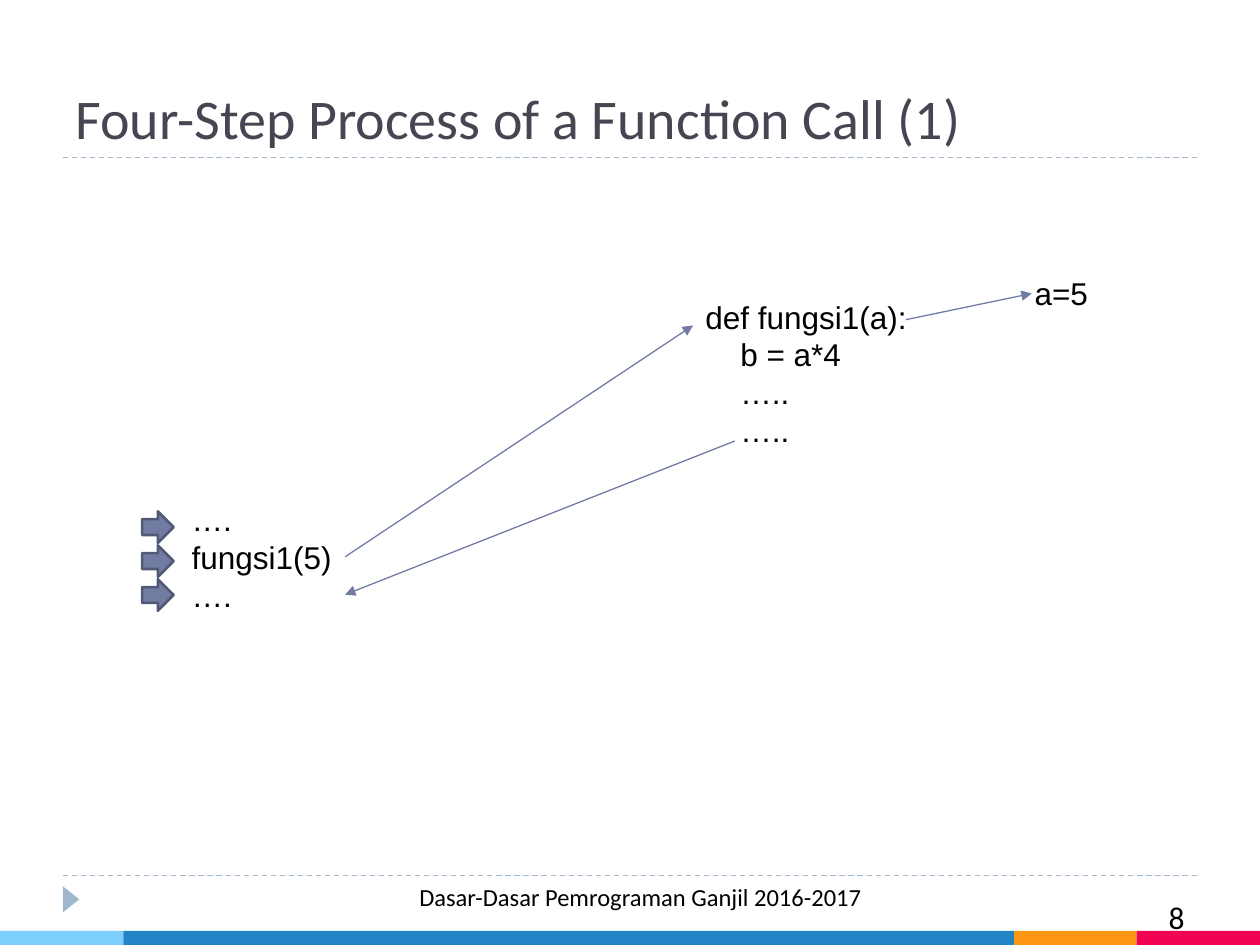
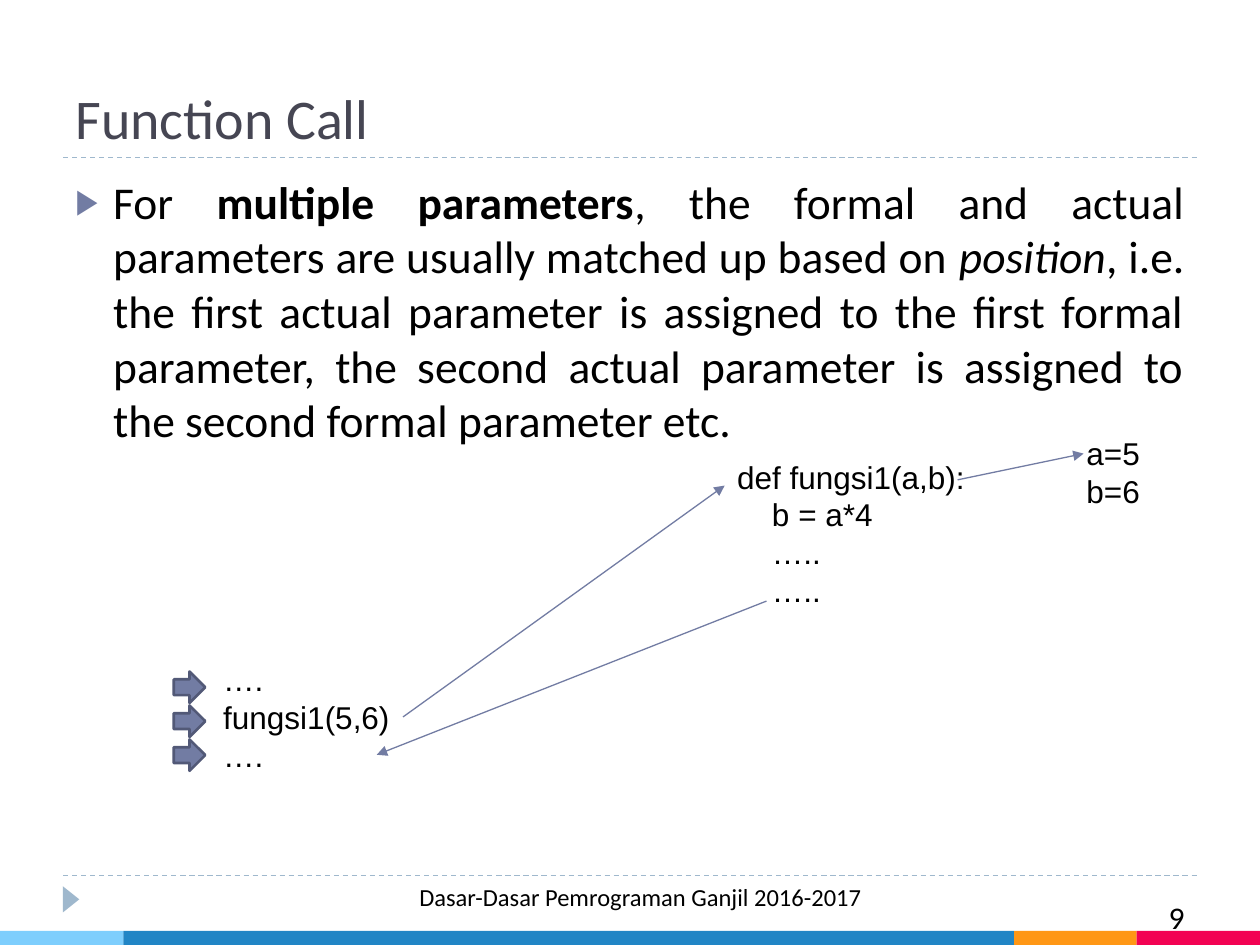
from lxml import etree
from pptx import Presentation
from pptx.dml.color import RGBColor
from pptx.enum.dml import MSO_LINE_DASH_STYLE as Dash
from pptx.enum.shapes import MSO_CONNECTOR as Link, MSO_SHAPE as Shape
from pptx.enum.text import MSO_ANCHOR as Anchor, PP_ALIGN as Align
from pptx.oxml.ns import qn
from pptx.util import Pt

HUES = {
    "text": "000000", "title": "464653", "rule": "9FB8CD",
    "arrow": "727CA3", "edge": "525977",
    "sky": "7ECEFD", "blue": "2185C5", "orange": "FF9715", "red": "F20253",
}
FOOTER = "Dasar-Dasar Pemrograman Ganjil 2016-2017"
BANDS = [("sky", 0, 70.5), ("blue", 70.5, 579.5),
         ("orange", 579.5, 649.5), ("red", 649.5, 720)]

# Diagram places are relative to the top left of the calling code.
SLIDES = [
    {
        "title": "Four-Step Process of a Function Call (1)",
        "number": 8,
        "origin": (102.4, 282.2),
        "call": ["….", "fungsi1(5)", "…."],
        "width": 94.8,
        "def": ["def fungsi1(a):", "    b = a*4", "    …..", "    ….."],
        "note": ["a=5"],
        "shift": 481.7,
    },
    {
        "title": "Function Call",
        "number": 9,
        "body": [
            ("For ", None), ("multiple parameters", "bold"),
            (", the formal and actual parameters are usually matched up "
             "based on ", None),
            ("position", "italic"),
            (", i.e. the first actual parameter is assigned to the first "
             "formal parameter, the second actual parameter is assigned to "
             "the second formal parameter etc.", None),
        ],
        "origin": (120.5, 373.7),
        "call": ["….", "fungsi1(5,6)", "…."],
        "width": 109.8,
        "def": ["def fungsi1(a,b):", "    b = a*4", "    …..", "    ….."],
        "note": ["a=5", "b=6"],
        "shift": 493.2,
    },
]


def hue(name):
    return RGBColor.from_string(HUES[name])


def style(font, size, face, color="text"):
    font.size, font.name = Pt(size), face
    font.color.rgb = hue(color)


def add_text(slide, place, lines, size, face="Calibri", color="text",
             align=Align.LEFT, wrap=True, anchor=Anchor.TOP):
    box = slide.shapes.add_textbox(*map(Pt, place))
    frame = box.text_frame
    frame.text = "\n".join(lines)
    frame.word_wrap, frame.vertical_anchor = wrap, anchor
    for para in frame.paragraphs:
        para.alignment = align
        for run in para.runs:
            style(run.font, size, face, color)
    return box


def add_code(slide, place, lines, wrap=True):
    return add_text(slide, place, lines, 18, "Arial", wrap=wrap)


def add_shape(slide, kind, place, fill, edge=None):
    shape = slide.shapes.add_shape(kind, *map(Pt, place))
    shape.shadow.inherit = False
    shape.fill.solid()
    shape.fill.fore_color.rgb = hue(fill)
    if edge:
        shape.line.color.rgb = hue(edge)
        shape.line.width = Pt(1.5)
    else:
        shape.line.fill.background()
    return shape


def add_line(slide, start, end, color):
    line = slide.shapes.add_connector(Link.STRAIGHT, *map(Pt, start + end))
    line.line.color.rgb = hue(color)
    line.line.width = Pt(0.75)
    etree.SubElement(line._element.spPr, qn("a:effectLst"))
    return line


def add_arrow(slide, start, end):
    line = add_line(slide, start, end, "arrow")
    etree.SubElement(line.line._get_or_add_ln(), qn("a:tailEnd"),
                     type="triangle")
    return line


def add_frame(slide, title, number):
    """Draw the title, rules, footer and colour bands of every slide."""
    for y in (90, 500.4):
        rule = add_line(slide, (36, y), (684, y), "rule")
        rule.line.dash_style = Dash.DASH
    mark = add_shape(slide, Shape.ISOSCELES_TRIANGLE,
                     (33.1, 509.2, 15, 9.4), "rule")
    mark.rotation = 90
    add_text(slide, (528, 509.6, 156, 28.8), [str(number)], 18,
             align=Align.RIGHT)
    for color, left, right in BANDS:
        add_shape(slide, Shape.RECTANGLE, (left, 532, right - left, 8), color)
    add_text(slide, (36, 12, 648, 77.6), [title], 32, color="title",
             anchor=Anchor.BOTTOM)
    add_text(slide, (228, 500.4, 276, 28.8), [FOOTER], 14,
             align=Align.CENTER)


def add_body(slide, parts):
    box = slide.shapes.add_textbox(Pt(36), Pt(95.8), Pt(648), Pt(388.8))
    box.text_frame.word_wrap = True
    para = box.text_frame.paragraphs[0]
    para.alignment = Align.JUSTIFY
    props = para._p.get_or_add_pPr()
    props.set("marL", str(Pt(21.6)))
    props.set("indent", str(-Pt(21.6)))
    tint = etree.SubElement(props, qn("a:buClr"))
    etree.SubElement(tint, qn("a:srgbClr"), val=HUES["arrow"])
    etree.SubElement(props, qn("a:buSzPct"), val="76000")
    etree.SubElement(props, qn("a:buFont"), typeface="Arial")
    etree.SubElement(props, qn("a:buChar"), char="▶")
    for text, look in parts:
        run = para.add_run()
        run.text = text
        style(run.font, 26, "Calibri")
        if look:
            setattr(run.font, look, True)


def add_flow(slide, data):
    """Draw the calling code, the function and the arrows between them."""
    left, top = data["origin"]
    width, shift = data["width"], data["shift"]

    def at(x, y):
        return left + x, top + y

    call = add_code(slide, at(0, 0) + (width, 72), data["call"], wrap=False)
    add_code(slide, at(293.6, -115.7) + (222, 93.6), data["def"])
    for step in range(len(data["call"])):
        add_shape(slide, Shape.RIGHT_ARROW,
                  at(-21.2, 10 + 19.4 * step) + (18, 18), "arrow", "edge")
    enter = add_arrow(slide, at(width, 36), at(293.6, -96.2))
    enter.begin_connect(call, 3)
    note = data["note"]
    add_code(slide, at(shift, -129) + (54, 7.2 + 21.6 * len(note)), note)
    add_arrow(slide, at(shift - 66.5, -99.5), at(shift + 5.5, -114.5))
    add_arrow(slide, at(317.5, -30.2), at(94.8, 57.6))


def main():
    deck = Presentation()
    deck.slide_width, deck.slide_height = Pt(720), Pt(540)
    for data in SLIDES:
        slide = deck.slides.add_slide(deck.slide_layouts[6])
        add_frame(slide, data["title"], data["number"])
        if "body" in data:
            add_body(slide, data["body"])
        add_flow(slide, data)
    deck.save("out.pptx")


if __name__ == "__main__":
    main()
